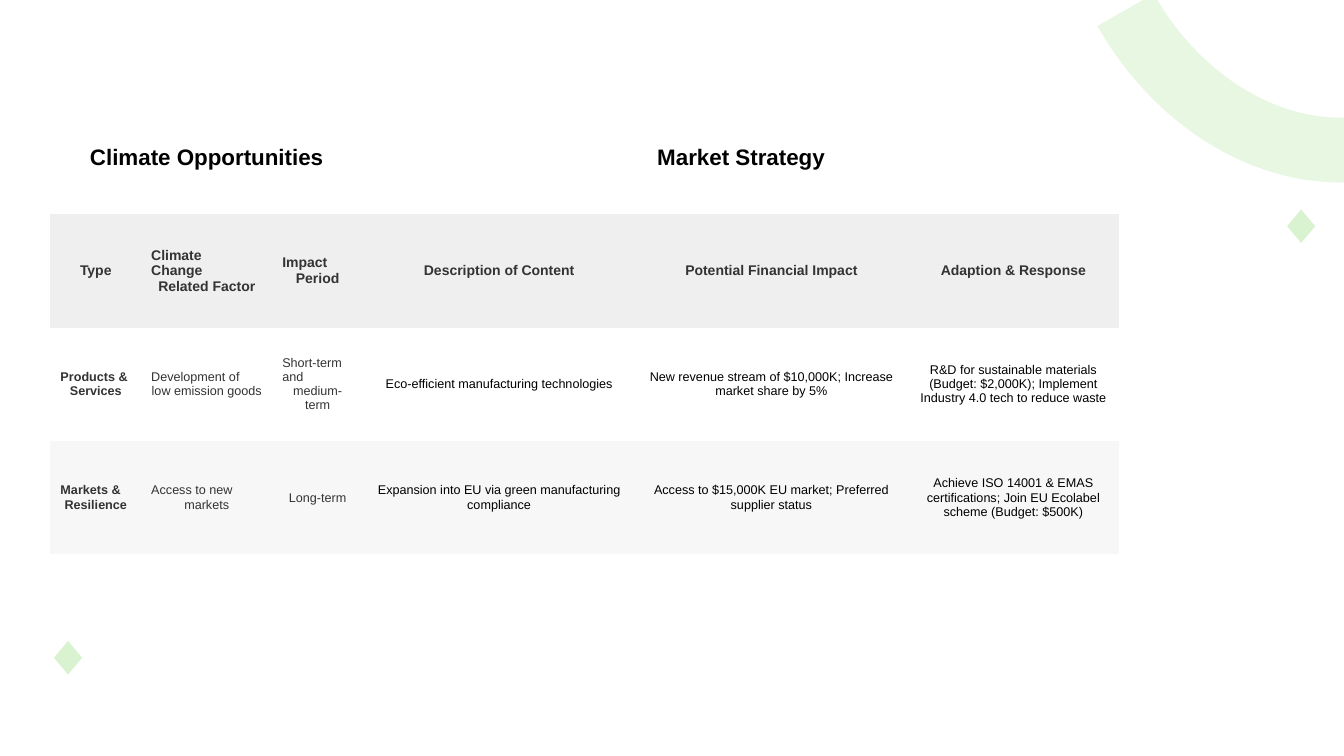
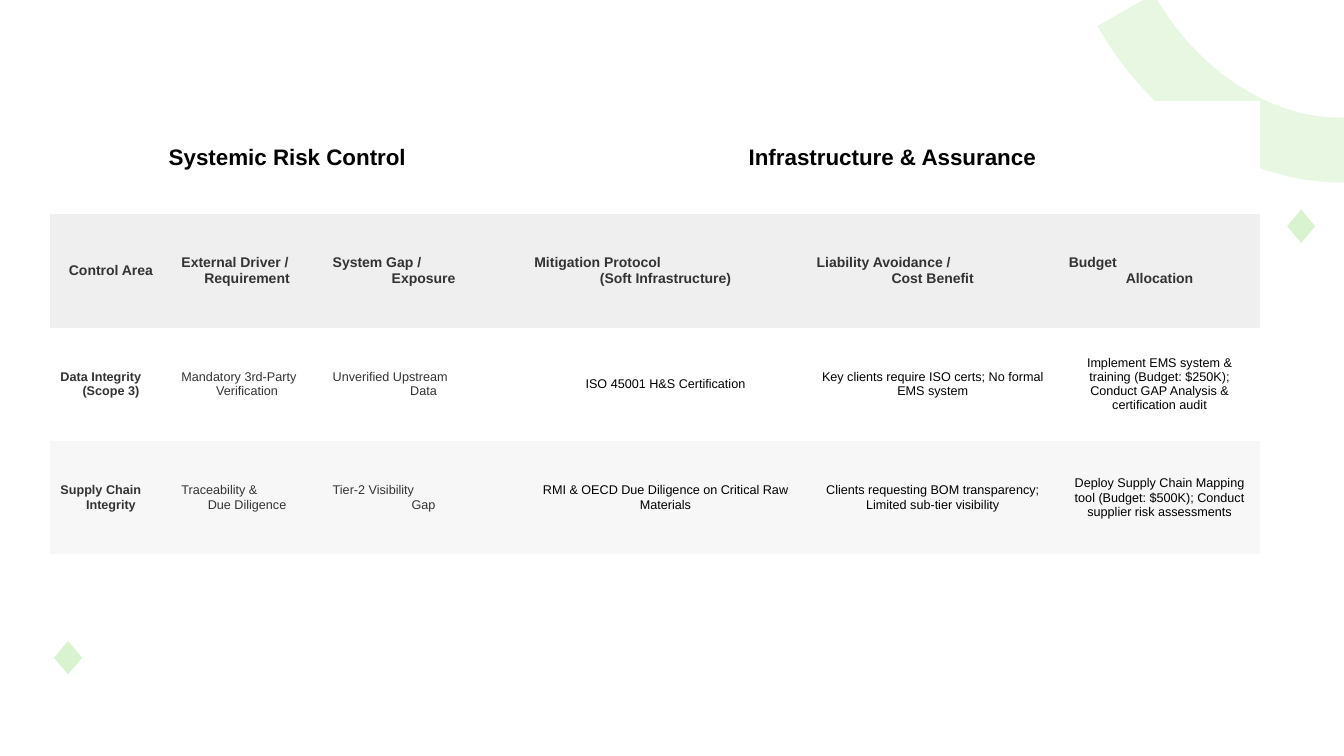
import pptx
import pptx.util
import pptx.dml.color
import pptx.enum.shapes
import pptx.enum.text
import pptx.oxml.ns
import lxml.etree

Inches = pptx.util.Inches
MSO_SHAPE = pptx.enum.shapes.MSO_SHAPE

FONT = "Arial"
BLACK, DARK, WHITE, GREEN = "000000", "333333", "FFFFFF", "D9F2D0"
ROW_FILLS = [WHITE, "EFEFEF", WHITE, "F7F7F7"]
PLAIN_TABLE = "{2D5ABB26-0587-4C30-8999-92F81FD0307C}"


def paint(fmt, color):
    fmt.solid()
    fmt.fore_color.rgb = pptx.dml.color.RGBColor.from_string(color)


def write(cell, text, size=9, color=BLACK, bold=False):
    cell.vertical_anchor = pptx.enum.text.MSO_ANCHOR.MIDDLE
    p = cell.text_frame.paragraphs[0]
    p.alignment = pptx.enum.text.PP_ALIGN.CENTER
    r = p.add_run()
    r.text = text
    r.font.name = FONT
    r.font.size = pptx.util.Pt(size)
    r.font.bold = bold
    paint(r.font.fill, color)


pages = [
    {
        "cols": [0.9, 1.3, 0.9, 2.7, 2.7, 2.1],
        "titles": ["Climate Opportunities", "Market Strategy"],
        "rows": [
            ["Type", "Climate\nChange\nRelated Factor", "Impact\nPeriod",
             "Description of Content", "Potential Financial Impact",
             "Adaption & Response"],
            ["Products &\nServices", "Development of\nlow emission goods",
             "Short-term\nand\nmedium-term",
             "Eco-efficient manufacturing technologies",
             "New revenue stream of $10,000K; Increase market share by 5%",
             "R&D for sustainable materials (Budget: $2,000K); "
             "Implement Industry 4.0 tech to reduce waste"],
            ["Markets &\nResilience", "Access to new\nmarkets", "Long-term",
             "Expansion into EU via green manufacturing compliance",
             "Access to $15,000K EU market; Preferred supplier status",
             "Achieve ISO 14001 & EMAS certifications; "
             "Join EU Ecolabel scheme (Budget: $500K)"],
        ],
    },
    {
        "cols": [1.2, 1.5, 2, 2.8, 2.5, 2],
        "titles": ["Systemic Risk Control", "Infrastructure & Assurance"],
        "rows": [
            ["Control Area", "External Driver /\nRequirement",
             "System Gap /\nExposure",
             "Mitigation Protocol\n(Soft Infrastructure)",
             "Liability Avoidance /\nCost Benefit", "Budget\nAllocation"],
            ["Data Integrity\n(Scope 3)", "Mandatory 3rd-Party\nVerification",
             "Unverified Upstream\nData", "ISO 45001 H&S Certification",
             "Key clients require ISO certs; No formal EMS system",
             "Implement EMS system & training (Budget: $250K); "
             "Conduct GAP Analysis & certification audit"],
            ["Supply Chain\nIntegrity", "Traceability &\nDue Diligence",
             "Tier-2 Visibility\nGap",
             "RMI & OECD Due Diligence on Critical Raw Materials",
             "Clients requesting BOM transparency; Limited sub-tier visibility",
             "Deploy Supply Chain Mapping tool (Budget: $500K); "
             "Conduct supplier risk assessments"],
        ],
    },
]

prs = pptx.Presentation()
prs.slide_width, prs.slide_height = Inches(13.33), Inches(7.5)
layout = prs.slide_layouts[6]
paint(layout.background.fill, WHITE)
for ph in list(layout.placeholders):
    layout.shapes.element.remove(ph.element)
slides = [prs.slides.add_slide(layout) for page in pages]

shapes = slides[0].shapes
arc = shapes.add_shape(MSO_SHAPE.ARC, Inches(10.9), Inches(-3.38), Inches(4), Inches(4.97))
arc.rotation = 151.3
arc.adjustments[0], arc.adjustments[1] = 152.05, 215.37
arc.fill.background()
paint(arc.line.fill, GREEN)
arc.line.width = pptx.util.Pt(46.25)
qn = pptx.oxml.ns.qn
for clr in arc.element.spPr.find(qn("a:ln")).iter(qn("a:srgbClr")):
    lxml.etree.SubElement(clr, qn("a:alpha")).set("val", "60000")

decor = [arc]
for x, y in [(12.75, 2.06), (0.52, 6.34)]:
    diamond = shapes.add_shape(MSO_SHAPE.DIAMOND, Inches(x), Inches(y), Inches(0.31), Inches(0.37))
    paint(diamond.fill, GREEN)
    paint(diamond.line.fill, WHITE)
    diamond.line.width = pptx.util.Pt(1.5)
    decor.append(diamond)

for sp in decor:
    sp.shadow.inherit = False
    layout.shapes.element.append(sp.element)

for s, page in zip(slides, pages):
    cols = page["cols"]
    frame = s.shapes.add_table(4, len(cols), Inches(0.5), Inches(1), Inches(sum(cols)), Inches(4.5))
    table = frame.table
    table.first_row = table.horz_banding = False
    for style in frame.element.iter(qn("a:tableStyleId")):
        style.text = PLAIN_TABLE
    for column, width in zip(table.columns, cols):
        column.width = Inches(width)
    for row, fill in zip(table.rows, ROW_FILLS):
        for cell in row.cells:
            paint(cell.fill, fill)

    for i, title in enumerate(page["titles"]):
        cell = table.cell(0, 3 * i)
        cell.merge(table.cell(0, 3 * i + 2))
        write(cell, title, size=16, bold=True)
    for i, texts in enumerate(page["rows"]):
        for j, text in enumerate(texts):
            header = i == 0
            write(table.cell(i + 1, j), text, size=10 if header else 9,
                  color=DARK if header or j < 3 else BLACK, bold=header or j == 0)

prs.save("out.pptx")
